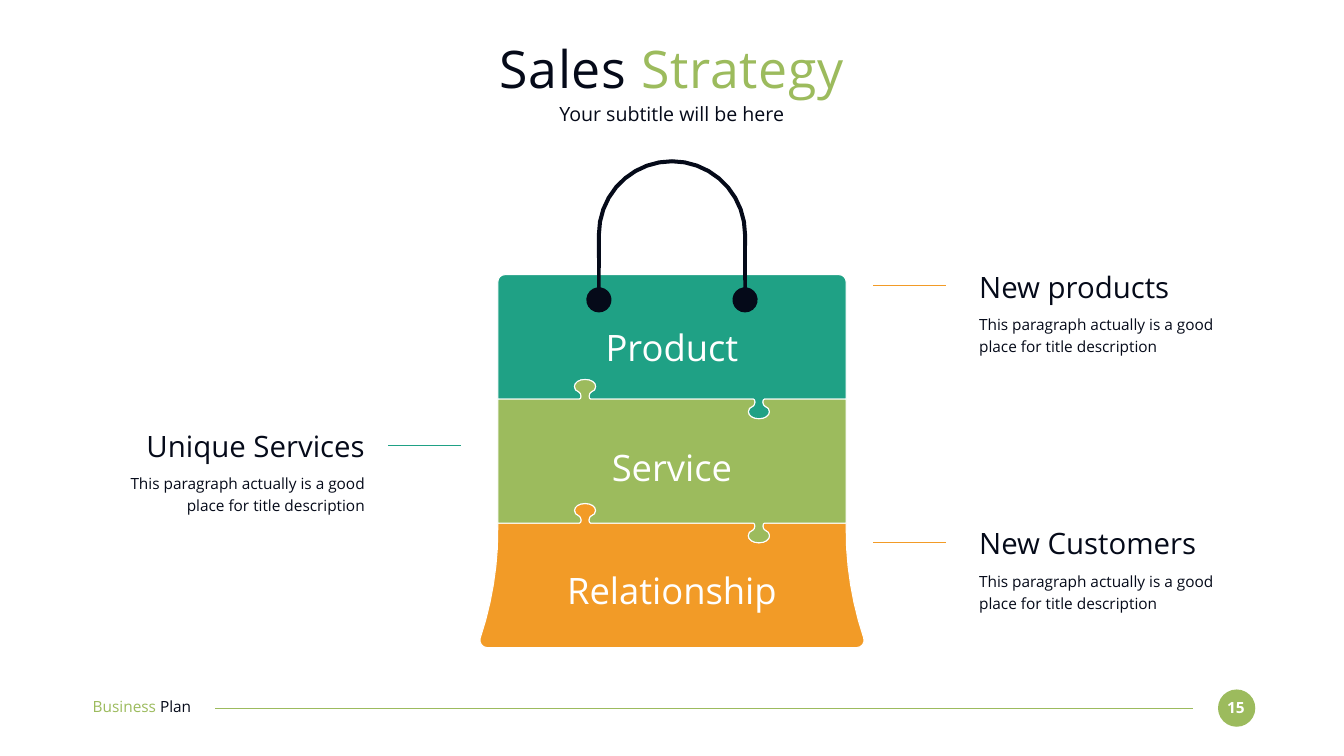
import math
from dataclasses import dataclass

import pptx
import pptx.dml.color
import pptx.enum.shapes
import pptx.enum.text
import pptx.oxml.ns
import pptx.util
from lxml import etree

Inches = pptx.util.Inches
Align = pptx.enum.text.PP_ALIGN
Point = tuple[float, float]

COLORS = {
    "ink": "050A19",
    "white": "FFFFFF",
    "teal": "1FA185",
    "green": "9CBB5D",
    "orange": "F29B27",
}
FONT = "Open Sans"
DESCRIPTION = "This paragraph actually is a good place for title description"
SLIDE_WIDTH = 26.67
MARGIN = 1.83
BAG_LEFT, BAG_RIGHT = 9.88, 16.79
UPPER_SEAM, LOWER_SEAM = 7.92, 10.38


@dataclass
class Run:
    text: str
    color: str = "ink"


@dataclass
class Layer:
    outline: list[Point]
    color: str


@dataclass
class Callout:
    heading: str
    left: float
    top: float
    align: Align
    rule_left: float
    rule_color: str


def rgb(color: str) -> pptx.dml.color.RGBColor:
    return pptx.dml.color.RGBColor.from_string(COLORS[color])


def add_text(slide, box: tuple[float, float, float, float], runs: list[Run], size: float,
             align: Align = Align.LEFT, bold: bool = False, line_spacing: float = 1.0,
             tracking: float = 0) -> None:
    frame = slide.shapes.add_textbox(*map(Inches, box)).text_frame
    frame.word_wrap = True
    frame.margin_left = frame.margin_right = frame.margin_top = frame.margin_bottom = 0
    paragraph = frame.paragraphs[0]
    paragraph.alignment = align
    paragraph.line_spacing = line_spacing
    for part in runs:
        run = paragraph.add_run()
        run.text = part.text
        run.font.name = FONT
        run.font.size = pptx.util.Pt(size)
        run.font.bold = bold
        run.font.color.rgb = rgb(part.color)
        if tracking:
            run.font._element.set("spc", str(round(tracking * 100)))


def add_rule(slide, left: float, right: float, y: float, color: str) -> None:
    rule = slide.shapes.add_connector(
        pptx.enum.shapes.MSO_CONNECTOR.STRAIGHT,
        Inches(right), Inches(y), Inches(left), Inches(y))
    rule.line.color.rgb = rgb(color)
    rule.line.width = pptx.util.Pt(1.5)
    etree.SubElement(rule._element.spPr, pptx.oxml.ns.qn("a:effectLst"))


def add_outline(slide, layer: Layer, bordered: bool = True) -> None:
    points = [(Inches(x), Inches(y)) for x, y in layer.outline]
    builder = slide.shapes.build_freeform(*points[0])
    builder.add_line_segments(points[1:], close=True)
    shape = builder.convert_to_shape()
    shape.shadow.inherit = False
    shape.fill.solid()
    shape.fill.fore_color.rgb = rgb(layer.color)
    if bordered:
        shape.line.color.rgb = rgb("white")
        shape.line.width = pptx.util.Pt(1.5)
    else:
        shape.line.fill.background()


def arc(x: float, y: float, radius: float, start: float, end: float, steps: int) -> list[Point]:
    angles = [math.radians(start + (end - start) * i / steps) for i in range(steps + 1)]
    return [(x + radius * math.cos(a), y + radius * math.sin(a)) for a in angles]


def curve(p0: Point, p1: Point, p2: Point, p3: Point, steps: int) -> list[Point]:
    points = []
    for i in range(1, steps + 1):
        t = i / steps
        weights = ((1 - t) ** 3, 3 * t * (1 - t) ** 2, 3 * t * t * (1 - t), t ** 3)
        points.append(tuple(sum(w * p[axis] for w, p in zip(weights, (p0, p1, p2, p3)))
                            for axis in (0, 1)))
    return points


def knob(x: float, y: float, direction: int) -> list[Point]:
    half = ([(-0.11, 0)]
            + curve((-0.11, 0), (-0.09, 0), (-0.08, 0.03), (-0.08, 0.06), 2)
            + curve((-0.08, 0.06), (-0.08, 0.1), (-0.1, 0.13), (-0.12, 0.14), 2)
            + curve((-0.12, 0.14), (-0.18, 0.16), (-0.21, 0.2), (-0.21, 0.25), 2)
            + curve((-0.21, 0.25), (-0.21, 0.33), (-0.12, 0.39), (0, 0.39), 4))
    whole = half + [(-dx, dy) for dx, dy in half[-2::-1]]
    return [(x + dx, y + direction * dy) for dx, dy in whole]


def seam(y: float) -> list[Point]:
    return [(BAG_LEFT, y), *knob(11.61, y, -1), *knob(15.06, y, 1), (BAG_RIGHT, y)]


def bag_layers() -> list[Layer]:
    corner = 0.14
    top = 5.45 + corner
    rim = (arc(BAG_RIGHT - corner, top, corner, 0, -90, 4)
           + arc(BAG_LEFT + corner, top, corner, -90, -180, 4))
    right_side = (curve((BAG_RIGHT, 10.51), (BAG_RIGHT, 11.24), (16.91, 11.97), (17.14, 12.66), 6)
                  + curve((17.14, 12.66), (17.17, 12.75), (17.1, 12.85), (17, 12.85), 4))
    left_side = [(SLIDE_WIDTH - x, y) for x, y in reversed(right_side)]
    return [
        Layer(seam(LOWER_SEAM) + right_side + left_side, "orange"),
        Layer(seam(UPPER_SEAM) + rim, "teal"),
        Layer(seam(UPPER_SEAM) + seam(LOWER_SEAM)[::-1], "green"),
    ]


def handle() -> Layer:
    center, arch_y, ring_y, reach = SLIDE_WIDTH / 2, 4.65, 5.95, 1.45
    return Layer(
        arc(center, arch_y, reach + 0.04, 180, 360, 18)
        + arc(center + reach, ring_y, 0.25, -82, 262, 18)
        + arc(center, arch_y, reach - 0.04, 360, 180, 18)
        + arc(center - reach, ring_y, 0.25, -82, 262, 18), "ink")


def add_callout(slide, callout: Callout) -> None:
    add_rule(slide, callout.rule_left, callout.rule_left + 1.44, callout.top + 0.34,
             callout.rule_color)
    add_text(slide, (callout.left, callout.top, 5.41, 0.71), [Run(callout.heading)], 42,
             callout.align)
    add_text(slide, (callout.left, callout.top + 0.85, 5.41, 0.89), [Run(DESCRIPTION)], 22,
             callout.align, line_spacing=1.2)


def add_footer(slide) -> None:
    badge = slide.shapes.add_shape(pptx.enum.shapes.MSO_SHAPE.OVAL,
                                   *map(Inches, (24.17, 13.68, 0.74, 0.74)))
    badge.shadow.inherit = False
    badge.fill.solid()
    badge.fill.fore_color.rgb = rgb("green")
    badge.line.fill.background()
    add_text(slide, (24.23, 13.85, 0.59, 0.37), [Run("15", "white")], 22, Align.CENTER, bold=True)
    add_rule(slide, 4.27, 23.67, 14.05, "green")
    add_text(slide, (1.84, 13.84, 2.59, 0.37), [Run("Business ", "green"), Run("Plan")], 22)


def main() -> None:
    """Build the sales strategy slide."""
    deck = pptx.Presentation()
    deck.slide_width, deck.slide_height = Inches(SLIDE_WIDTH), Inches(15)
    slide = deck.slides.add_slide(deck.slide_layouts[6])

    add_footer(slide)
    add_text(slide, (MARGIN, 0.73, 23, 1.27), [Run("Sales "), Run("Strategy", "green")], 74,
             Align.CENTER, tracking=1)
    add_text(slide, (MARGIN, 2.03, 23, 0.49), [Run("Your subtitle will be here")], 28,
             Align.CENTER)

    for layer in bag_layers():
        add_outline(slide, layer)
    add_outline(slide, handle(), bordered=False)
    for label, top in (("Product", 6.45), ("Service", 8.83), ("Relationship", 11.28)):
        add_text(slide, (10.7, top, 5.27, 0.88), [Run(label, "white")], 52, Align.CENTER)

    for callout in (
        Callout("Unique Services", MARGIN, 8.49, Align.RIGHT, 7.7, "teal"),
        Callout("New Customers", 19.43, 10.42, Align.LEFT, 17.33, "orange"),
        Callout("New products", 19.43, 5.33, Align.LEFT, 17.33, "orange"),
    ):
        add_callout(slide, callout)

    deck.save("out.pptx")


if __name__ == "__main__":
    main()
